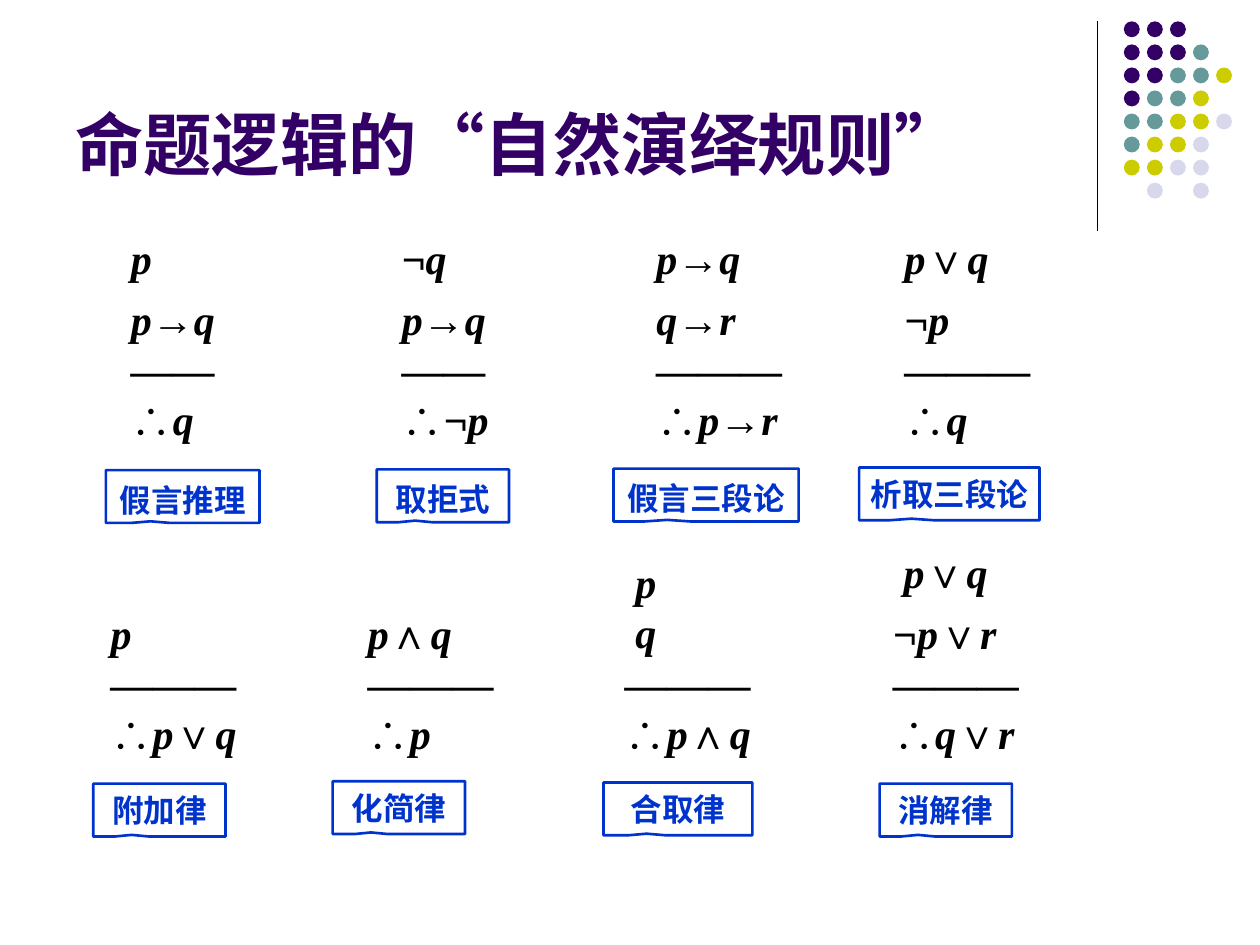
"""Build a slide of natural deduction rules for propositional logic."""
from itertools import groupby

from lxml import etree
from pptx import Presentation
from pptx.dml.color import RGBColor
from pptx.enum.lang import MSO_LANGUAGE_ID
from pptx.enum.shapes import MSO_CONNECTOR, MSO_SHAPE
from pptx.enum.text import MSO_ANCHOR, PP_ALIGN
from pptx.oxml.ns import qn
from pptx.util import Pt

BLACK = RGBColor(0x00, 0x00, 0x00)
WHITE = RGBColor(0xFF, 0xFF, 0xFF)
BLUE = RGBColor(0x00, 0x33, 0xCC)
PURPLE = RGBColor(0x33, 0x00, 0x66)
TEAL = RGBColor(0x66, 0x99, 0x99)
OLIVE = RGBColor(0xCC, 0xCC, 0x00)
LILAC = RGBColor(0xD8, 0xD8, 0xEC)

LINE = 28.7
GAP = 6
FORMULA = {"size": Pt(24), "bold": True}
TITLE = {"name": "Arial", "size": Pt(39), "bold": True}
LABEL = {"name": "Arial", "size": Pt(18), "bold": True}


def add_run(p, text, fmt, color):
    r = p.add_run()
    r.text = text
    for key, value in fmt.items():
        setattr(r.font, key, value)
    r.font.color.rgb = color
    r.font.language_id = MSO_LANGUAGE_ID.SIMPLIFIED_CHINESE
    return r


def char_style(ch):
    return ("Times New Roman" if ch in "pqr¬—" else "Arial", ch in "pqr—")


prs = Presentation()
prs.slide_width, prs.slide_height = Pt(720), Pt(540)
s = prs.slides.add_slide(prs.slide_layouts[6])

rule = s.shapes.add_connector(MSO_CONNECTOR.STRAIGHT, Pt(627.1), Pt(12.2), Pt(627.1), Pt(131.8))
rule.line.color.rgb = BLACK
rule.line.width = Pt(0.75)
etree.SubElement(rule._element.spPr, qn("a:effectLst"))

DOT_COLORS = {"P": PURPLE, "T": TEAL, "O": OLIVE, "L": LILAC}
DOT_ROWS = ["PPP", "PPPT", "PPTTO", "PTTO", "TTOOL", "TOOL", "OOLL", ".L.L"]
for row, codes in enumerate(DOT_ROWS):
    for col, code in enumerate(codes):
        if code not in DOT_COLORS:
            continue
        sp = s.shapes.add_shape(MSO_SHAPE.OVAL, Pt(642.2 + 13.17 * col),
                                Pt(12.2 + 13.17 * row), Pt(9.1), Pt(9.1))
        sp.shadow.inherit = False
        sp.fill.solid()
        sp.fill.fore_color.rgb = DOT_COLORS[code]
        sp.line.fill.background()

tf = s.shapes.add_textbox(Pt(36), Pt(9.4), Pt(596), Pt(95.8)).text_frame
tf.word_wrap = True
tf.vertical_anchor = MSO_ANCHOR.BOTTOM
tf.margin_bottom = 0
add_run(tf.paragraphs[0], "命题逻辑的“自然演绎规则”", TITLE, PURPLE)

RULES = [
    (40.3, 128.2, 113, GAP, 0, ["p", "p→q", "——", "∴q"]),
    (195.1, 128.2, 113, GAP, 0, ["¬q", "p→q", "——", "∴¬p"]),
    (340.6, 128.2, 153.4, GAP, 0, ["p→q", "q→r", "———", "∴p→r"]),
    (482.4, 128.2, 153.4, GAP, 0, ["p∨q", "¬p", "———", "∴q"]),
    (28.8, 342.1, 153.4, GAP, 0, ["p", "———", "∴p∨q"]),
    (175.7, 342.1, 153.4, GAP, 0, ["p∧q", "———", "∴p"]),
    (322.6, 313.2, 153.4, 0, 2, ["p", "q", "———", "∴p∧q"]),
    (475.9, 307.4, 153.4, GAP, 1, ["p∨q", "¬p∨r", "———", "∴q∨r"]),
]
for x, y, w, gap, indented, lines in RULES:
    h = 146.2 - (4 - len(lines)) * (LINE + GAP)
    tf = s.shapes.add_textbox(Pt(x), Pt(y), Pt(w), Pt(h)).text_frame
    tf.word_wrap = True
    tf.margin_top = Pt(5)
    for i, line in enumerate(lines):
        p = tf.paragraphs[0] if i == 0 else tf.add_paragraph()
        p.line_spacing = Pt(LINE)
        p.space_before = Pt(gap if 0 < i < len(lines) - 2 else 0)
        p._p.get_or_add_pPr().set("marL", str(Pt(33.4 if i < indented else 27.4)))
        for (face, italic), chars in groupby(line, char_style):
            r = add_run(p, "".join(chars), {**FORMULA, "name": face, "italic": italic}, BLACK)
            etree.SubElement(r._r.rPr, qn("a:ea"), typeface=face)

LABELS = [
    ("化简律", 190.1, 446.4, 75.6, 3.6),
    ("附加律", 53.3, 447.8, 75.6, 3.6),
    ("假言推理", 60.5, 268.6, 87.8, 7),
    ("取拒式", 215.3, 268.2, 75.6, 7),
    ("假言三段论", 350.6, 267.8, 105.8, 7),
    ("析取三段论", 491, 267.1, 103, 3.6),
    ("合取律", 344.9, 447.1, 85, 3.6),
    ("消解律", 502.6, 447.8, 75.6, 3.6),
]
for text, x, y, w, top in LABELS:
    sp = s.shapes.add_shape(MSO_SHAPE.RECTANGULAR_CALLOUT, Pt(x), Pt(y), Pt(w), Pt(30.2))
    sp.adjustments[0], sp.adjustments[1] = -0.21, 0.47
    sp.shadow.inherit = False
    sp.fill.solid()
    sp.fill.fore_color.rgb = WHITE
    sp.line.color.rgb = BLUE
    sp.line.width = Pt(1.5)
    tf = sp.text_frame
    tf.word_wrap = False
    tf.vertical_anchor = MSO_ANCHOR.MIDDLE
    tf.margin_top = Pt(top)
    tf.paragraphs[0].alignment = PP_ALIGN.CENTER
    add_run(tf.paragraphs[0], text, LABEL, BLUE)

prs.save("out.pptx")
